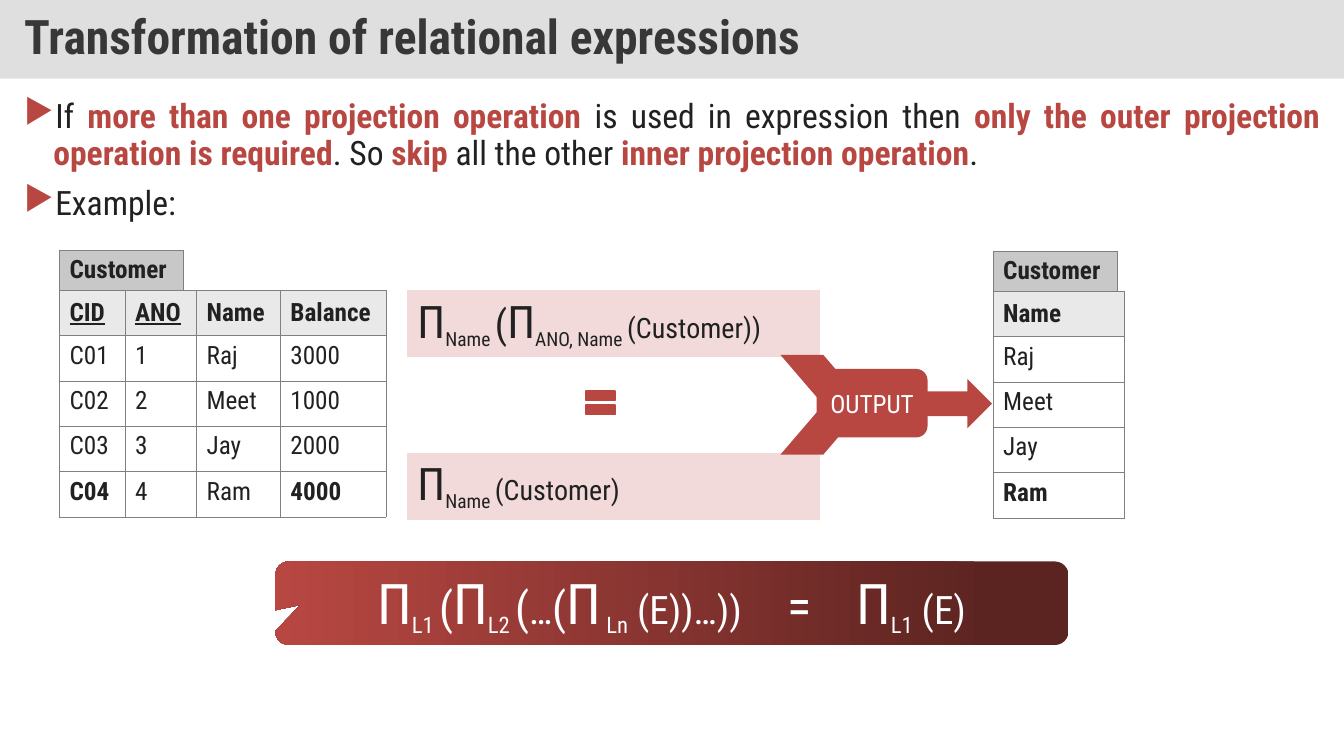
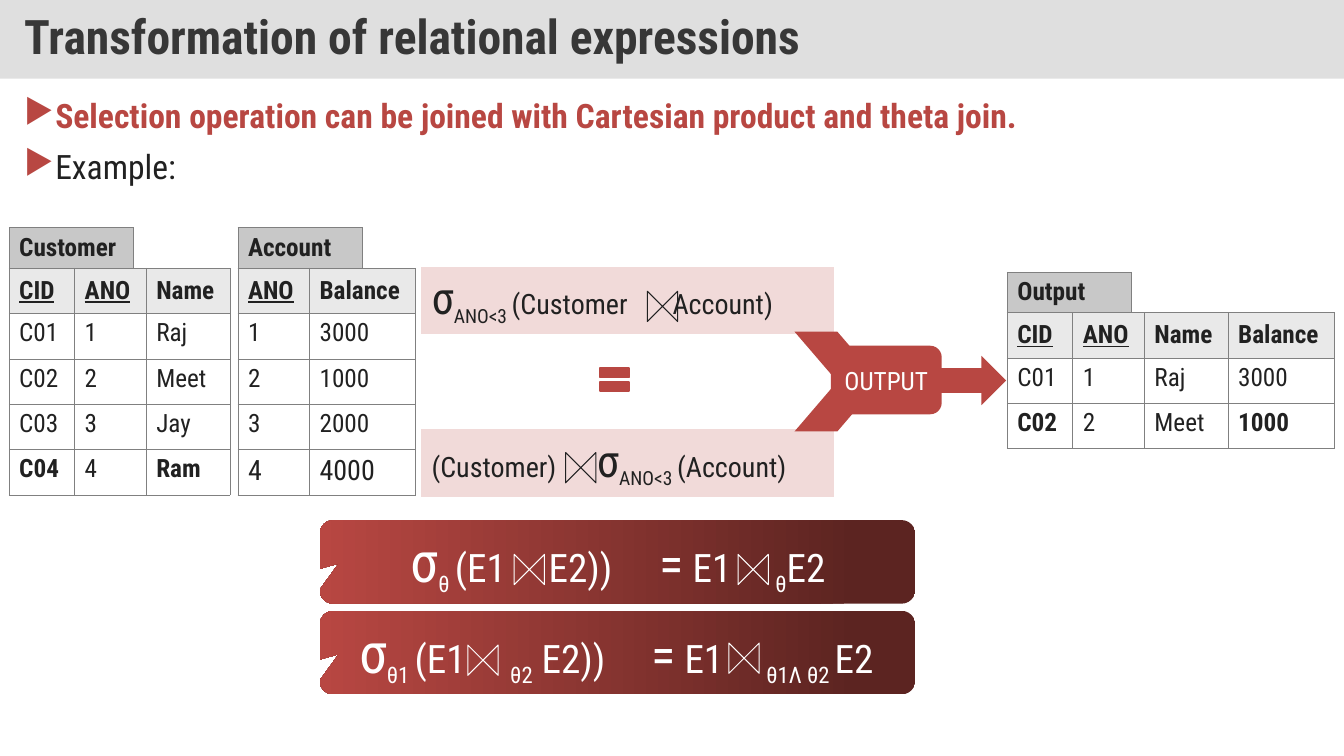
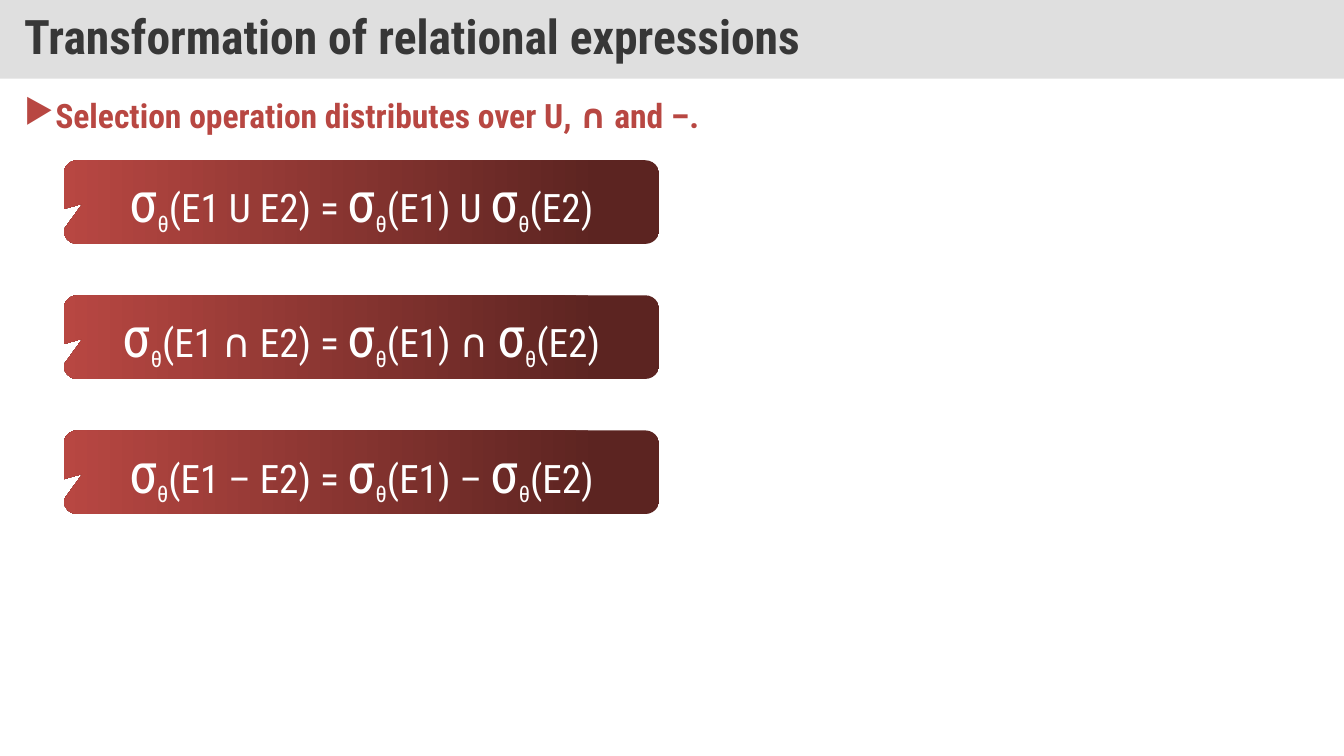
from dataclasses import dataclass

from pptx import Presentation
from pptx.dml.color import RGBColor as RGB
from pptx.enum.shapes import MSO_SHAPE as SHAPE
from pptx.enum.text import MSO_ANCHOR as ANCHOR, PP_ALIGN as ALIGN
from pptx.oxml.ns import qn
from pptx.oxml.xmlchemy import OxmlElement
from pptx.util import Inches, Pt


@dataclass(frozen=True)
class Theme:
    font: str = "Roboto Condensed"
    accent: str = "B84742"
    accent_dark: str = "5C2421"
    accent_pale: str = "F1DAD9"
    ink: str = "212121"
    title_ink: str = "373737"
    band: str = "C0C0C0"
    label: str = "C8C8C8"
    header: str = "E9E9E9"
    border: str = "808080"
    white: str = "FFFFFF"
    title: int = 34
    body: int = 24
    cell: int = 18


T = Theme()
FORMULA_SIZES = {"op": 32, "sub": 24, "paren": 28, "text": 20}
RULE_SIZES = {"op": 40, "sub": 28, "paren": 32, "text": 28, "eq": 36}
COLUMN_WIDTHS = {"CID": 0.65, "ANO": 0.71, "Name": 0.83, "Balance": 1.05}
KEYS = ("CID", "ANO")
LABEL_W, LABEL_H, ROW_H = 1.23, 0.4, 0.45
FORMULA_W, FORMULA_H, RULE_H = 4.09, 0.64, 0.83

TITLE = "Transformation of relational expressions"


def add_shape(s, kind, x, y, w, h, fill=None, line=None, weight=1):
    sp = s.shapes.add_shape(kind, Inches(x), Inches(y), Inches(w), Inches(h))
    sp.shadow.inherit = False
    if fill:
        sp.fill.solid()
        sp.fill.fore_color.rgb = RGB.from_string(fill)
    else:
        sp.fill.background()
    if line:
        sp.line.color.rgb = RGB.from_string(line)
        sp.line.width = Pt(weight)
    else:
        sp.line.fill.background()
    return sp


def add_grid(s, x, y, widths, height, fills, border=None):
    """Add a table with one fill per row and the same border on every cell."""
    table = s.shapes.add_table(len(fills), len(widths), Inches(x), Inches(y),
                               Inches(sum(widths)), Inches(height * len(fills))).table
    table.first_row = table.horz_banding = False
    for column, width in zip(table.columns, widths):
        column.width = Inches(width)
    for row, fill in zip(table.rows, fills):
        row.height = Inches(height)
        for cell in row.cells:
            tcPr = cell._tc.get_or_add_tcPr()
            for side in ("a:lnL", "a:lnR", "a:lnT", "a:lnB"):
                ln = OxmlElement(side)
                if border:
                    ln.set("w", str(Pt(0.5)))
                    color = OxmlElement("a:srgbClr")
                    color.set("val", border)
                    paint = OxmlElement("a:solidFill")
                    paint.append(color)
                else:
                    paint = OxmlElement("a:noFill")
                ln.append(paint)
                tcPr.append(ln)
            cell.fill.solid()
            cell.fill.fore_color.rgb = RGB.from_string(fill)
    return table


CUSTOMERS = [("C01", "1", "Raj"), ("C02", "2", "Meet"), ("C03", "3", "Jay"), ("C04", "4", "Ram")]
BALANCES = ["3000", "1000", "2000", "4000"]
JOINED = [(*customer, balance) for customer, balance in zip(CUSTOMERS, BALANCES)]

# Relations: label, x, y, columns, rows, column widths, bold ends and size of the last row.
# Formulas and rules: runs with their roles, then tab stops.
# Rules start with x, y, width and the left margin (None when centred).
SLIDES = [
    {
        "bullets": [
            "If *more than one projection operation *is used in expression then "
            "*only the outer projection operation is required*. So *skip* all the other "
            "*inner projection operation*.",
            "Example:",
        ],
        "relations": [
            ("Customer", 0.59, 2.88, list(COLUMN_WIDTHS), JOINED, None, True, T.cell),
            ("Customer", 9.85, 2.89, ["Name"], [(row[2],) for row in CUSTOMERS],
             [1.3], True, T.cell),
        ],
        "comparison": (4.04, 2.88),
        "formulas": [
            ([("Π", "op"), ("Name ", "sub"), ("(", "paren"), ("Π", "op"),
              ("ANO, Name ", "sub"), ("(Customer))", "text")], []),
            ([("Π", "op"), ("Name ", "sub"), ("(Customer)", "text")], []),
        ],
        "rules": [
            (2.73, 5.57, 7.87, 0.97,
             [("Π", "op"), ("L1 ", "sub"), ("(", "paren"), ("Π", "op"), ("L2 ", "sub"),
              ("(", "paren"), ("…", "text"), ("(", "paren"), ("Π", "op"), (" Ln", "sub"),
              (" (E))…))\t", "text"), ("=\t", "eq"), ("Π", "op"), ("L1", "sub"),
              (" (E)", "text")], [4.07, 4.75]),
        ],
        "joins": [],
    },
    {
        "bullets": [
            "*Selection operation can be joined with Cartesian product and theta join.*",
            "Example:",
        ],
        "relations": [
            ("Customer", 0.09, 2.66, ["CID", "ANO", "Name"], CUSTOMERS, None, True, T.cell),
            ("Account", 2.36, 2.66, ["ANO", "Balance"],
             [(row[1], row[3]) for row in JOINED], None, False, 20),
            ("Output", 9.99, 3.1, list(COLUMN_WIDTHS), JOINED[:2], None, True, T.cell),
        ],
        "comparison": (4.18, 2.65),
        "formulas": [
            ([("σ", "op"), ("ANO<3 ", "sub"), ("(Customer\tAccount)", "text")], [2.39]),
            ([("(Customer)\t", "text"), ("σ", "op"), ("ANO<3 ", "sub"),
              ("(Account)", "text")], [1.64]),
        ],
        "rules": [
            (3.17, 5.16, 5.91, 0.86,
             [("σ", "op"), ("θ ", "sub"), ("(E1\tE2))\t", "text"), ("=", "eq"),
              (" E1\t", "text"), ("θ", "sub"), ("E2", "text")], [1.37, 2.47, 3.62]),
            (3.17, 6.06, 5.91, 0.35,
             [("σ", "op"), ("θ1 ", "sub"), ("(E1\t", "text"), ("θ2", "sub"),
              (" E2))\t", "text"), ("=", "eq"), (" E1\t", "text"), ("θ1Λ θ2 ", "sub"),
              ("E2", "text")], [1.5, 2.9, 4.04]),
        ],
        "joins": [
            (6.42, 2.89, T.ink), (5.61, 4.49, T.ink),
            (5.1, 5.5, T.white), (7.32, 5.5, T.white),
            (4.64, 6.4, T.white), (7.23, 6.38, T.white),
        ],
    },
    {
        "bullets": ["*Selection operation distributes over U, ∩ and –.*"],
        "relations": [],
        "comparison": None,
        "formulas": [],
        "rules": [
            (0.63, 1.59 + 1.34 * i, 5.91, None,
             [("σ", "op"), ("θ", "sub"), (f"(E1 {operator} E2) = ", "text"),
              ("σ", "op"), ("θ", "sub"), (f"(E1) {operator} ", "text"),
              ("σ", "op"), ("θ", "sub"), ("(E2)", "text")], [])
            for i, operator in enumerate("U∩–")
        ],
        "joins": [],
    },
]

prs = Presentation()
prs.slide_width, prs.slide_height = Inches(13.33), Inches(7.5)

for content in SLIDES:
    s = prs.slides.add_slide(prs.slide_layouts[6])
    paragraphs = []  # paragraph, size, colour, bold
    expressions = []  # paragraph, runs, sizes, tab stops, colour

    # Title band
    sp = add_shape(s, SHAPE.RECTANGLE, 0, 0, 13.33, 0.78, T.band)
    alpha = OxmlElement("a:alpha")
    alpha.set("val", "50000")
    sp._element.spPr.find(".//" + qn("a:srgbClr")).append(alpha)
    tf = sp.text_frame
    tf.margin_left = tf.margin_right = Inches(0.24)
    tf.margin_top = tf.margin_bottom = Inches(0.12)
    p = tf.paragraphs[0]
    p.text = TITLE
    p.alignment = ALIGN.LEFT
    p.line_spacing = 0.9
    paragraphs.append((p, T.title, T.title_ink, True))

    # Bullets, with accented words between asterisks
    tf = s.shapes.add_textbox(Inches(0.14), Inches(0.94), Inches(13.05), Inches(6.11)).text_frame
    tf.word_wrap = True
    for i, bullet in enumerate(content["bullets"]):
        p = tf.add_paragraph() if i else tf.paragraphs[0]
        pPr = p._p.get_or_add_pPr()
        pPr.set("marL", str(Inches(0.29)))
        pPr.set("indent", str(-Inches(0.29)))
        color = OxmlElement("a:srgbClr")
        color.set("val", T.accent)
        buClr = OxmlElement("a:buClr")
        buClr.append(color)
        buChar = OxmlElement("a:buChar")
        buChar.set("char", "▶")
        pPr.extend([buClr, buChar])
        p.alignment = ALIGN.JUSTIFY
        p.line_spacing = 0.9
        if i:
            p.space_before = Pt(10)
        for j, words in enumerate(bullet.split("*")):
            if words:
                r = p.add_run()
                r.text = words
                if j % 2:
                    r.font.bold = True
                    r.font.color.rgb = RGB.from_string(T.accent)
        paragraphs.append((p, T.body, T.ink, None))

    # Relations: a label above a table
    for label, x, y, columns, rows, widths, bold_ends, last_size in content["relations"]:
        cell = add_grid(s, x, y - LABEL_H, [LABEL_W], LABEL_H, [T.label], T.border).cell(0, 0)
        cell.text = label
        cell.vertical_anchor = ANCHOR.MIDDLE
        paragraphs.append((cell.text_frame.paragraphs[0], T.cell, T.ink, True))

        widths = widths or [COLUMN_WIDTHS[name] for name in columns]
        fills = [T.header] + [T.white] * len(rows)
        table = add_grid(s, x, y, widths, ROW_H, fills, T.border)
        for i, values in enumerate([columns, *rows]):
            last = i == len(rows)
            for j, value in enumerate(values):
                cell = table.cell(i, j)
                cell.text = value
                p = cell.text_frame.paragraphs[0]
                if i == 0:
                    cell.vertical_anchor = ANCHOR.MIDDLE
                    p.font.underline = value in KEYS
                bold = i == 0 or (last and bold_ends and j in (0, len(columns) - 1))
                paragraphs.append((p, last_size if last else T.cell, T.ink, bold))

    # Two equal formulas leading to one output
    if content["comparison"]:
        x, y = content["comparison"]
        for i, (runs, tabs) in enumerate(content["formulas"]):
            cell = add_grid(s, x, y + 1.61 * i, [FORMULA_W], FORMULA_H, [T.accent_pale]).cell(0, 0)
            cell.vertical_anchor = ANCHOR.MIDDLE
            expressions.append((cell.text_frame.paragraphs[0], runs, FORMULA_SIZES, tabs, T.ink))
        add_shape(s, SHAPE.MATH_EQUAL, x + 1.72, y + 0.92, 0.39, 0.39, T.accent, T.accent)
        add_shape(s, SHAPE.CHEVRON, x + 3.7, y + 0.64, 0.85, 0.99, T.accent)
        sp = add_shape(s, SHAPE.ROUNDED_RECTANGLE, x + 4.06, y + 0.78, 1.1, 0.68, T.accent)
        p = sp.text_frame.paragraphs[0]
        p.text = "OUTPUT"
        p.alignment = ALIGN.CENTER
        paragraphs.append((p, T.cell, T.white, None))
        add_shape(s, SHAPE.RIGHT_ARROW, x + 5.04, y + 0.88, 0.76, 0.49, T.accent)

    # General rules
    for x, y, w, margin, runs, tabs in content["rules"]:
        sp = add_shape(s, SHAPE.ROUNDED_RECTANGULAR_CALLOUT, x, y, w, RULE_H)
        for i, value in enumerate((-0.468, 0.019, 0.167)):
            sp.adjustments[i] = value
        sp.fill.gradient()
        sp.fill.gradient_angle = 180
        stops = ((0.1, T.accent_dark), (1, T.accent))
        for stop, (position, color) in zip(sp.fill.gradient_stops, stops):
            stop.position = position
            stop.color.rgb = RGB.from_string(color)
        p = sp.text_frame.paragraphs[0]
        p.alignment = ALIGN.CENTER
        if margin is not None:
            p.alignment = ALIGN.LEFT
            sp.text_frame.margin_left = Inches(margin)
        expressions.append((p, runs, RULE_SIZES, tabs, T.white))

    # Join signs, set in the gaps of the formulas
    for x, y, color in content["joins"]:
        add_shape(s, SHAPE.FLOWCHART_COLLATE, x, y, 0.3, 0.3, line=color, weight=0.75).rotation = 90

    for p, runs, sizes, tabs, color in expressions:
        if tabs:
            tabLst = OxmlElement("a:tabLst")
            for position in tabs:
                tab = OxmlElement("a:tab")
                tab.set("pos", str(Inches(position)))
                tab.set("algn", "l")
                tabLst.append(tab)
            p._p.get_or_add_pPr().append(tabLst)
        for text, role in runs:
            r = p.add_run()
            r.text = text
            r.font.size = Pt(sizes[role])
            if role == "sub":
                r._r.get_or_add_rPr().set("baseline", "-25000")
        paragraphs.append((p, sizes["text"], color, None))

    for p, size, color, bold in paragraphs:
        p.font.name = T.font
        p.font.size = Pt(size)
        p.font.bold = bold
        p.font.color.rgb = RGB.from_string(color)

prs.save("out.pptx")
